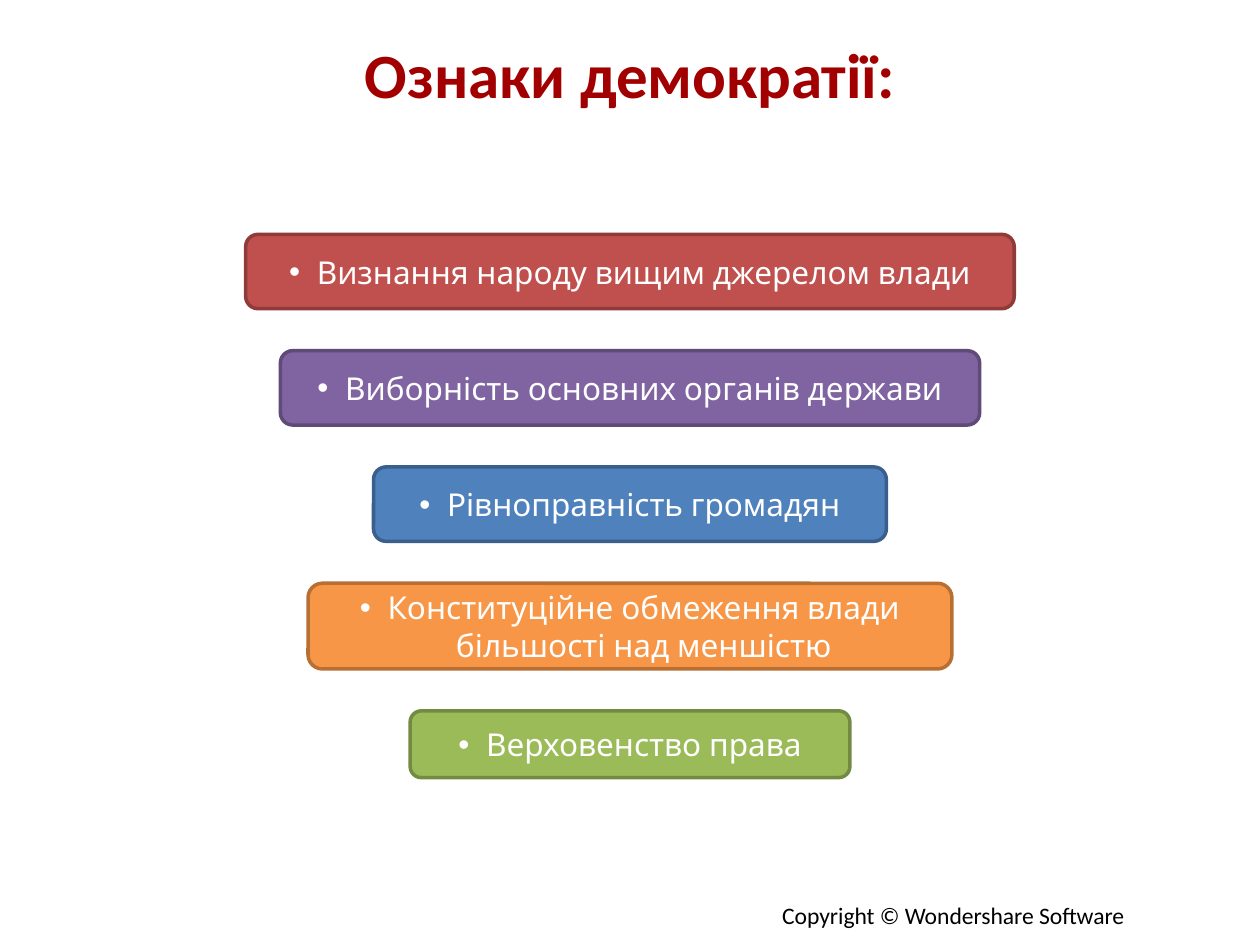
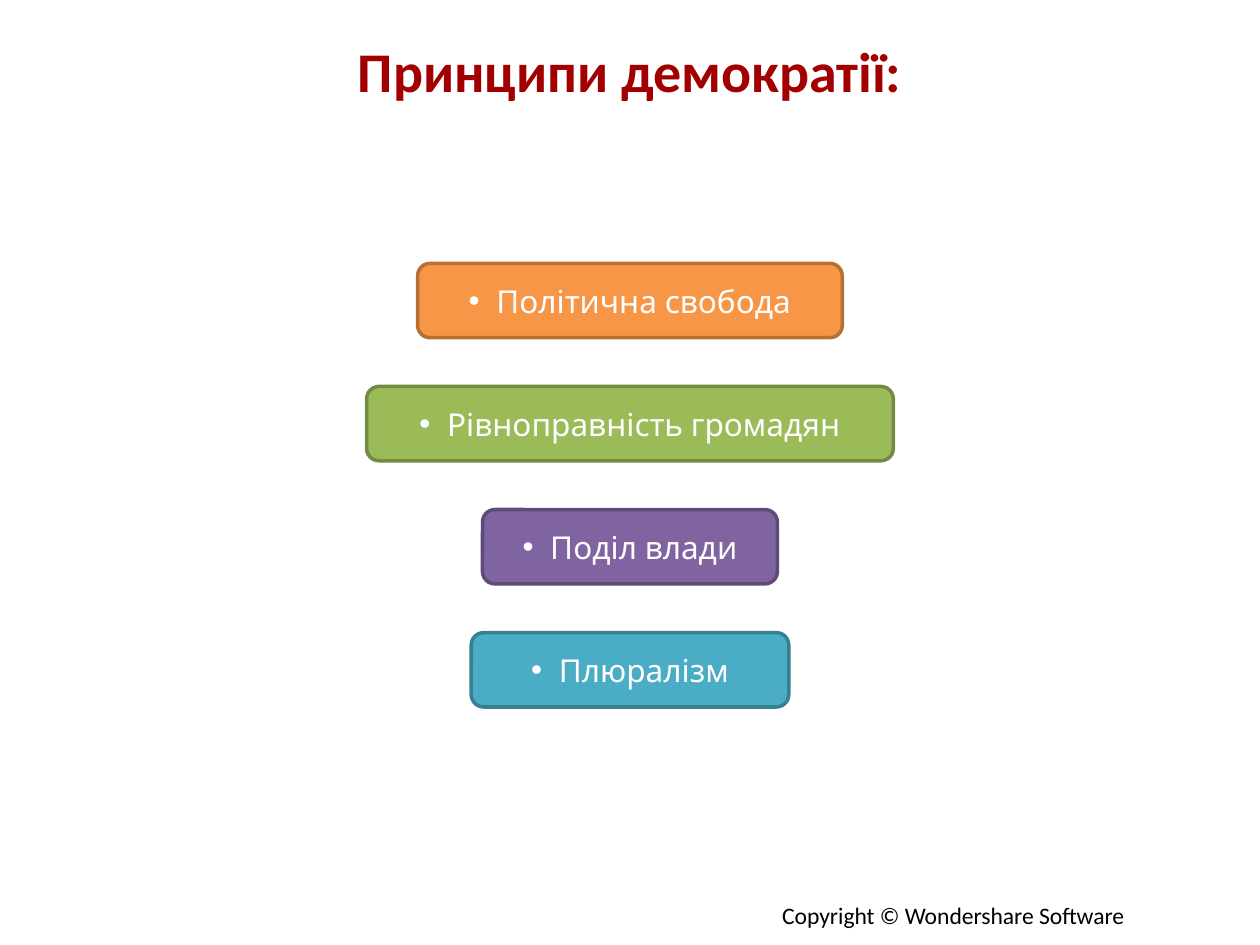
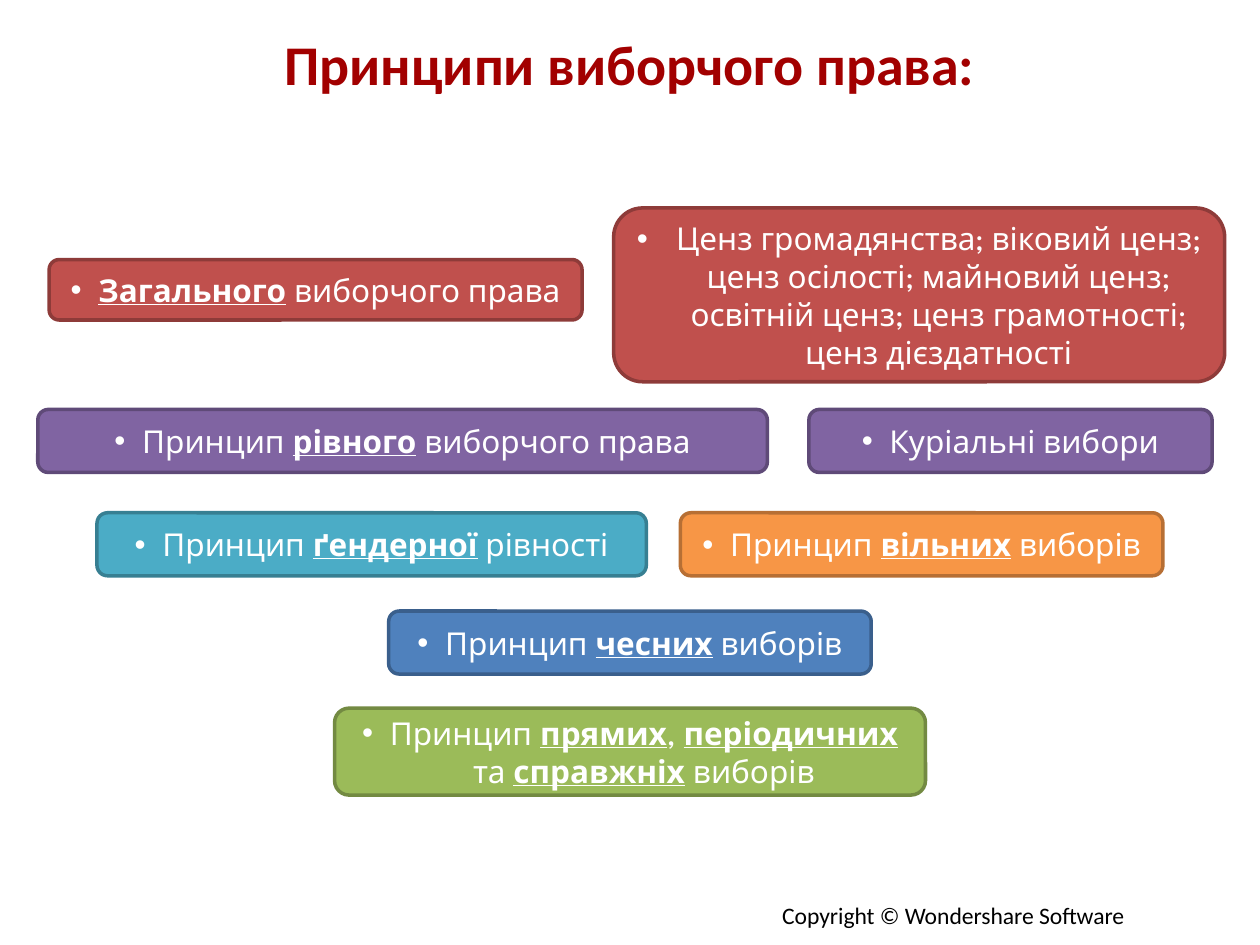
from dataclasses import dataclass

from lxml import etree
from pptx import Presentation
from pptx.dml.color import RGBColor
from pptx.enum import shapes, text
from pptx.oxml.ns import qn
from pptx.util import Inches, Pt

COLUMNS, ROWS = 100, 75


@dataclass(frozen=True)
class Theme:
    red = ("C0504D", "8E3B39")
    purple = ("8064A2", "5F4A78")
    blue = ("4F81BD", "3A5F8C")
    orange = ("F79646", "B76F34")
    green = ("9BBB59", "738A42")
    teal = ("4BACC6", "377F92")
    title_color = "A20000"
    footer_color = "000000"
    label_color = "FFFFFF"
    title_font = footer_font = "Calibri"
    label_font = "League Spartan"
    title_size = 32
    large_title_size = 36
    label_size = 18
    footer_size = 13.5
    outline_width = 2


class Deck:
    footer = "Copyright © Wondershare Software"

    def __init__(self, theme):
        self.theme = theme
        self.presentation = Presentation()
        self.presentation.slide_width = Inches(10)
        self.presentation.slide_height = Inches(7.5)
        self.slide = None

    def area(self, left, top, width, height):
        column = self.presentation.slide_width / COLUMNS
        row = self.presentation.slide_height / ROWS
        return (round(left * column), round(top * row),
                round(width * column), round(height * row))

    def style(self, paragraph, font, size, color, bold=False):
        paragraph.font.name = font
        paragraph.font.size = Pt(size)
        paragraph.font.bold = bold
        paragraph.font.color.rgb = RGBColor.from_string(color)

    def add_slide(self, title, title_top, title_size):
        self.slide = self.presentation.slides.add_slide(self.presentation.slide_layouts[6])
        self.add_footer()
        self.add_title(title, title_top, title_size)

    def add_footer(self):
        theme = self.theme
        box = self.slide.shapes.add_textbox(*self.area(61.1, 71, 29.7, 3.3))
        box.text_frame.word_wrap = False
        paragraph = box.text_frame.paragraphs[0]
        paragraph.text = self.footer
        self.style(paragraph, theme.footer_font, theme.footer_size, theme.footer_color)

    def add_title(self, title, top, size):
        theme = self.theme
        width = 71.3
        box = self.slide.shapes.add_textbox(*self.area((COLUMNS - width) / 2, top, width, 6.8))
        box.text_frame.word_wrap = True
        box.text_frame.vertical_anchor = text.MSO_ANCHOR.MIDDLE
        paragraph = box.text_frame.paragraphs[0]
        paragraph.text = title
        paragraph.alignment = text.PP_ALIGN.CENTER
        self.style(paragraph, theme.title_font, size, theme.title_color, bold=True)

    def add_bullet(self, paragraph, indent):
        properties = paragraph._p.get_or_add_pPr()
        properties.set("marL", str(Inches(indent)))
        properties.set("indent", str(-Inches(indent)))
        etree.SubElement(properties, qn("a:buFont"), typeface="Arial")
        etree.SubElement(properties, qn("a:buChar"), char="•")

    def add_card(self, label, colors, left, top, width, height, indent=0.22):
        theme = self.theme
        fill, outline = colors
        card = self.slide.shapes.add_shape(
            shapes.MSO_SHAPE.ROUNDED_RECTANGLE, *self.area(left, top, width, height))
        card.shadow.inherit = False
        card.fill.solid()
        card.fill.fore_color.rgb = RGBColor.from_string(fill)
        card.line.color.rgb = RGBColor.from_string(outline)
        card.line.width = Pt(theme.outline_width)
        card.text_frame.word_wrap = True
        card.text_frame.vertical_anchor = text.MSO_ANCHOR.MIDDLE
        paragraph = card.text_frame.paragraphs[0]
        paragraph.alignment = text.PP_ALIGN.CENTER
        self.add_bullet(paragraph, indent)
        self.style(paragraph, theme.label_font, theme.label_size, theme.label_color)
        for position, part in enumerate(label.split("_")):
            if part:
                run = paragraph.add_run()
                run.text = part
                if position % 2:
                    run.font.bold = run.font.underline = True

    def add_stack(self, top, gap, cards):
        for label, colors, width, height in cards:
            self.add_card(label, colors, (COLUMNS - width) / 2, top, width, height)
            top += height + gap

    def save(self):
        self.presentation.save("out.pptx")


def add_signs(deck):
    theme = deck.theme
    deck.add_slide("Ознаки демократії:", 2.4, theme.large_title_size)
    deck.add_stack(18.6, 3.33, [
        ("Визнання народу вищим джерелом влади", theme.red, 61, 5.9),
        ("Виборність основних органів держави", theme.purple, 55.5, 5.9),
        ("Рівноправність громадян", theme.blue, 40.7, 5.9),
        ("Конституційне обмеження влади більшості над меншістю", theme.orange, 51.1, 6.8),
        ("Верховенство права", theme.green, 34.9, 5.3),
    ])


def add_democracy_principles(deck):
    theme = deck.theme
    deck.add_slide("Принципи демократії:", 2.2, theme.title_size)
    deck.add_stack(20.9, 3.87, [
        ("Політична свобода", theme.orange, 33.7, 5.9),
        ("Рівноправність громадян", theme.green, 41.8, 5.9),
        ("Поділ влади", theme.purple, 23.4, 5.9),
        ("Плюралізм", theme.teal, 25.2, 5.9),
    ])


def add_suffrage_principles(deck):
    theme = deck.theme
    deck.add_slide("Принципи виборчого права:", 1.6, theme.title_size)
    deck.add_card("_Загального_ виборчого права", theme.red, 3.9, 20.6, 42.3, 4.8)
    deck.add_card("Ценз громадянства; віковий ценз; ценз осілості; майновий ценз; "
                  "освітній ценз; ценз грамотності; ценз дієздатності",
                  theme.red, 48.7, 16.5, 48.5, 13.8, indent=0.31)
    for label, colors, left, top, width in [
        ("Принцип _рівного_ виборчого права", theme.purple, 3, 32.5, 57.9),
        ("Куріальні вибори", theme.purple, 64.2, 32.5, 32),
        ("Принцип _ґендерної_ рівності", theme.teal, 7.7, 40.7, 43.6),
        ("Принцип _вільних_ виборів", theme.orange, 54, 40.7, 38.3),
    ]:
        deck.add_card(label, colors, left, top, width, 5)
    deck.add_stack(48.5, 2.7, [
        ("Принцип _чесних_ виборів", theme.blue, 38.3, 5),
        ("Принцип _прямих_, _періодичних_ та _справжніх_ виборів", theme.green, 46.9, 6.9),
    ])


def main():
    deck = Deck(Theme())
    add_signs(deck)
    add_democracy_principles(deck)
    add_suffrage_principles(deck)
    deck.save()


if __name__ == "__main__":
    main()
